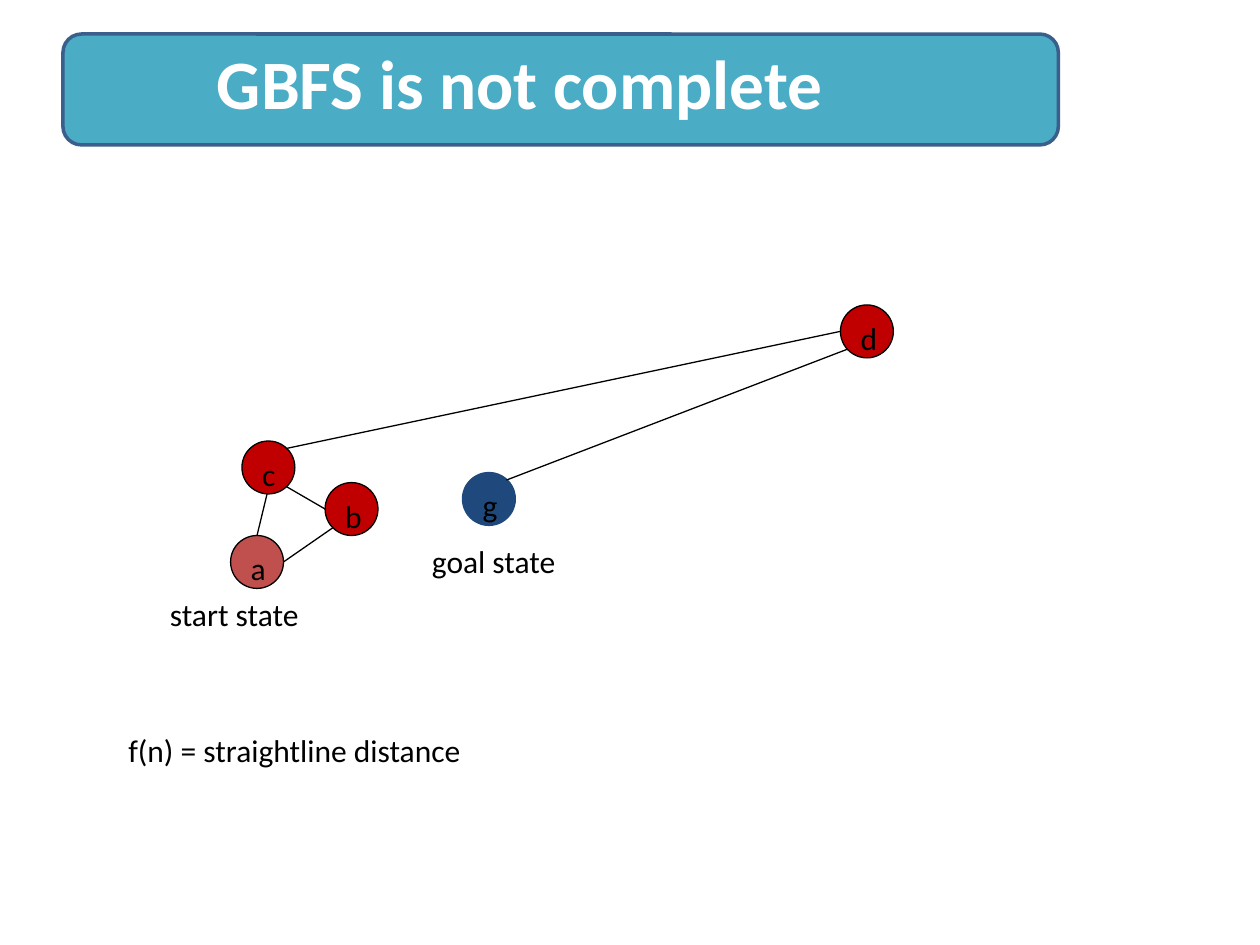
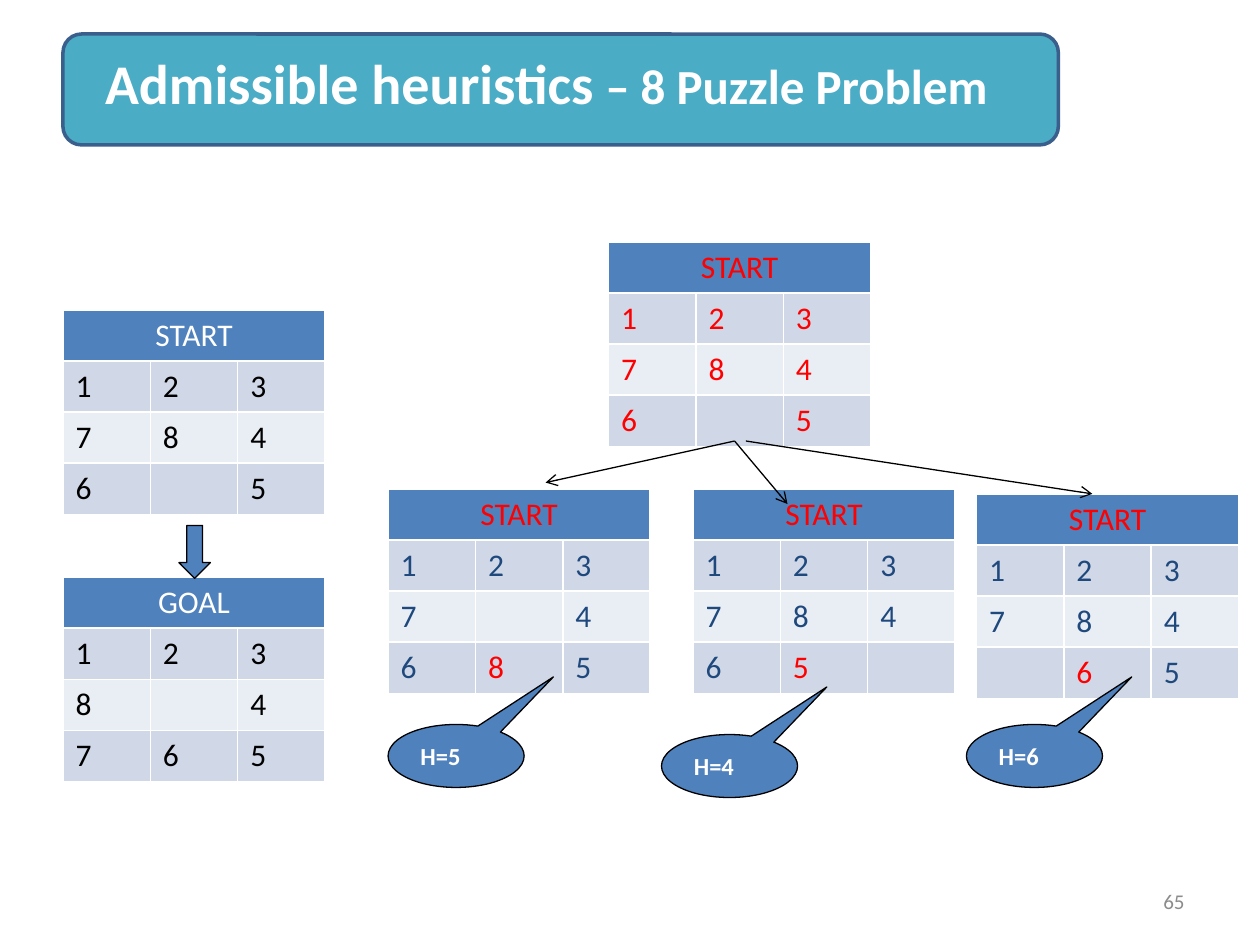
from lxml.etree import SubElement
from pptx import Presentation
from pptx.dml.color import RGBColor
from pptx.enum.shapes import MSO_CONNECTOR, MSO_SHAPE
from pptx.enum.text import MSO_ANCHOR, MSO_AUTO_SIZE, PP_ALIGN
from pptx.oxml.ns import qn
from pptx.util import Inches, Pt

FONT = "Calibri"
BLACK, WHITE, RED = "000000", "FFFFFF", "FF0000"
BLUE, NAVY, CRIMSON = "4F81BD", "1F497D", "C00000"
BAND_FILL, BAND_LINE = "4BACC6", "3A5F8C"
ROW_FILLS = [BLUE, "D0D8E8", "E9EDF4", "D0D8E8"]


def write(text_frame, text, size=18, color=BLACK, bold=False, align=PP_ALIGN.LEFT):
    paragraph = text_frame.paragraphs[0]
    paragraph.alignment = align
    run = paragraph.add_run()
    run.text = text
    run.font.name = FONT
    run.font.size = Pt(size)
    run.font.bold = bold
    run.font.color.rgb = RGBColor.from_string(color)


def add_filled_shape(slide, kind, box, fill, line=BLACK, line_width=0.75, anchor=MSO_ANCHOR.MIDDLE):
    shape = slide.shapes.add_shape(kind, *map(Inches, box))
    shape.shadow.inherit = False
    shape.fill.solid()
    shape.fill.fore_color.rgb = RGBColor.from_string(fill)
    shape.line.color.rgb = RGBColor.from_string(line)
    shape.line.width = Pt(line_width)
    shape.text_frame.vertical_anchor = anchor
    return shape


presentation = Presentation()
presentation.slide_width = Inches(10)
presentation.slide_height = Inches(7.5)

titles = [
    (7.25, [("GBFS is not complete", 39.6)]),
    (7.67, [("Admissible heuristics", 32), (" – 8 Puzzle Problem", 28)]),
]
for title_width, title_parts in titles:
    slide = presentation.slides.add_slide(presentation.slide_layouts[5])
    band = add_filled_shape(slide, MSO_SHAPE.ROUNDED_RECTANGLE, (0.5, 0.27, 7.9, 0.88),
                            BAND_FILL, BAND_LINE, 2)
    title = slide.shapes.title
    title._element.addprevious(band._element)
    title.left, title.top = Inches(0.5), Inches(0.3)
    title.width, title.height = Inches(title_width), Inches(0.7)
    title.text_frame.auto_size = MSO_AUTO_SIZE.NONE
    title.text_frame.vertical_anchor = MSO_ANCHOR.MIDDLE
    for text, size in title_parts:
        write(title.text_frame, text, size=size, color=WHITE, bold=True, align=PP_ALIGN.CENTER)

graph_slide, puzzle_slide = presentation.slides

states = [
    ("g", 3.67, 3.75, NAVY, NAVY),
    ("c", 1.92, 3.5, CRIMSON, BLACK),
    ("b", 2.58, 3.83, CRIMSON, BLACK),
    ("a", 1.83, 4.25, "C0504D", BLACK),
    ("d", 6.67, 2.42, CRIMSON, BLACK),
]
for name, left, top, fill, line in states:
    circle = add_filled_shape(graph_slide, MSO_SHAPE.OVAL, (left, top, 0.42, 0.42),
                              fill, line, anchor=MSO_ANCHOR.TOP)
    write(circle.text_frame, name)

labels = [
    ("start state", 1.25, 4.67, 1.33),
    ("goal state", 3.33, 4.25, 1.3),
    ("f(n) = straightline distance", 0.92, 5.75, 3.18),
]
for text, left, top, width in labels:
    label = graph_slide.shapes.add_textbox(Inches(left), Inches(top), Inches(width), Inches(0.4))
    label.text_frame.word_wrap = False
    write(label.text_frame, text)

boards = [
    ("GOAL", 0.5, 4.58, "123/8 4/765", WHITE, BLACK, None),
    ("START", 0.5, 2.46, "123/784/6 5", WHITE, BLACK, None),
    ("START", 4.83, 1.92, "123/784/6 5", RED, RED, None),
    ("START", 3.08, 3.88, "123/7 4/685", RED, NAVY, "8"),
    ("START", 5.5, 3.88, "123/784/65 ", RED, NAVY, "5"),
    ("START", 7.75, 3.92, "123/784/ 65", RED, NAVY, "6"),
]
for heading, left, top, tiles, heading_color, tile_color, moved_tile in boards:
    table = puzzle_slide.shapes.add_table(
        4, 3, Inches(left), Inches(top), Inches(2.08), Inches(1.62)).table
    for row, fill in zip(table.rows, ROW_FILLS):
        for cell in row.cells:
            cell.fill.solid()
            cell.fill.fore_color.rgb = RGBColor.from_string(fill)
    table.cell(0, 0).merge(table.cell(0, 2))
    write(table.cell(0, 0).text_frame, heading, color=heading_color, align=PP_ALIGN.CENTER)
    for row_index, row_tiles in enumerate(tiles.split("/"), start=1):
        for column_index, tile in enumerate(row_tiles):
            if tile != " ":
                write(table.cell(row_index, column_index).text_frame, tile,
                      color=RED if tile == moved_tile else tile_color)

add_filled_shape(puzzle_slide, MSO_SHAPE.DOWN_ARROW, (1.42, 4.17, 0.25, 0.42), BLUE)

graph_edges = [
    (2.12, 3.92, 2.04, 4.25),
    (2.27, 3.86, 2.58, 4.04),
    (2.25, 4.46, 2.64, 4.19),
    (2.27, 3.56, 6.67, 2.63),
    (6.73, 2.77, 4.02, 3.81),
]
move_arrows = [
    (5.83, 3.5, 4.33, 3.83),
    (5.83, 3.5, 6.25, 4),
    (5.92, 3.5, 8.67, 3.92),
]
for slide, lines, has_arrowhead in [(graph_slide, graph_edges, False), (puzzle_slide, move_arrows, True)]:
    for ends in lines:
        connector = slide.shapes.add_connector(MSO_CONNECTOR.STRAIGHT, *map(Inches, ends))
        connector.line.color.rgb = RGBColor.from_string(BLACK)
        connector.line.width = Pt(0.75)
        if has_arrowhead:
            SubElement(connector.line._get_or_add_ln(), qn("a:tailEnd"), type="arrow")
        SubElement(connector._element.spPr, qn("a:effectLst"))

for text, left, top in [("H=5", 3.08, 5.75), ("H=4", 5.25, 5.83), ("H=6", 7.67, 5.75)]:
    callout = add_filled_shape(puzzle_slide, MSO_SHAPE.OVAL_CALLOUT, (left, top, 1.08, 0.5), BLUE)
    callout.adjustments[0] = 0.715
    callout.adjustments[1] = -1.255
    write(callout.text_frame, text, size=14, color=WHITE, bold=True)

page_number = puzzle_slide.shapes.add_textbox(Inches(7.17), Inches(6.95), Inches(2.33), Inches(0.4))
page_number.text_frame.word_wrap = True
page_number.text_frame.vertical_anchor = MSO_ANCHOR.MIDDLE
write(page_number.text_frame, "65", size=12, color="8C8C8C", align=PP_ALIGN.RIGHT)

presentation.save("out.pptx")
